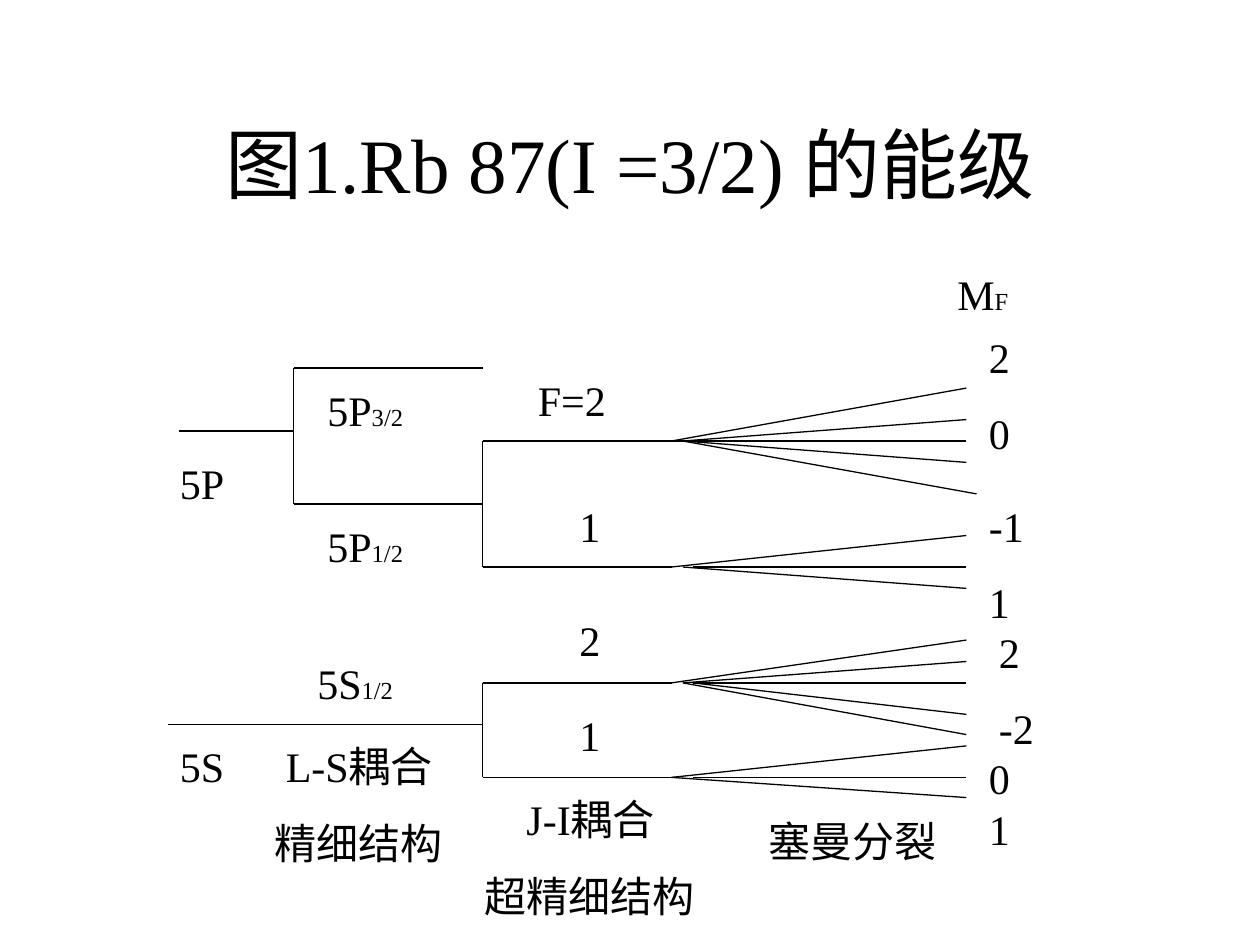
from dataclasses import dataclass

from lxml.etree import SubElement
from pptx import Presentation
from pptx.dml.color import RGBColor
from pptx.enum.shapes import MSO_CONNECTOR
from pptx.enum.text import MSO_ANCHOR, MSO_AUTO_SIZE, PP_ALIGN
from pptx.oxml.ns import qn
from pptx.util import Inches, Pt


@dataclass(frozen=True)
class Theme:
    font: str = "Times New Roman"
    ink: RGBColor = RGBColor(0, 0, 0)
    head: float = 44
    body: float = 24
    sub: float = 14
    rule: float = 0.75
    gap: float = 0.625  # space before, as a share of the type size


class Chart:
    """Draws the parts of a level diagram on one slide."""

    def __init__(self, theme, slide):
        self.theme = theme
        self.slide = slide

    def run(self, para, text, size):
        run = para.add_run()
        run.text = text
        run.font.size = Pt(size)
        run.font.name = self.theme.font
        run.font.color.rgb = self.theme.ink

    def title(self, text, left, top, width, height):
        shape = self.slide.shapes.title
        shape.left, shape.top = Inches(left), Inches(top)
        shape.width, shape.height = Inches(width), Inches(height)
        frame = shape.text_frame
        frame.auto_size = MSO_AUTO_SIZE.NONE
        frame.vertical_anchor = MSO_ANCHOR.MIDDLE
        para = frame.paragraphs[0]
        para.alignment = PP_ALIGN.CENTER
        self.run(para, text, self.theme.head)

    def line(self, x1, y1, x2, y2):
        line = self.slide.shapes.add_connector(
            MSO_CONNECTOR.STRAIGHT,
            Inches(x1), Inches(y1), Inches(x2), Inches(y2))
        line.line.color.rgb = self.theme.ink
        line.line.width = Pt(self.theme.rule)
        SubElement(line._element.spPr, qn("a:effectLst"))

    def split(self, x, end, *levels):
        """A vertical bar with one level running right from each end."""
        self.line(x, levels[0], x, levels[-1])
        for y in levels:
            self.line(x, y, end, y)

    def fan(self, y, rays):
        """Rays that spread from one level: start x, end x, end y."""
        for start, end, tip in rays:
            self.line(start, y, end, tip)

    def label(self, left, top, width, height, *rows):
        """Each row is (indent, text) or (indent, text, subscript)."""
        box = self.slide.shapes.add_textbox(
            Inches(left), Inches(top), Inches(width), Inches(height))
        frame = box.text_frame
        frame.word_wrap = True
        frame.auto_size = MSO_AUTO_SIZE.SHAPE_TO_FIT_TEXT
        for num, (indent, *parts) in enumerate(rows):
            para = frame.add_paragraph() if num else frame.paragraphs[0]
            sizes = (self.theme.body, self.theme.sub)[:len(parts)]
            para.space_before = Pt(sizes[-1] * self.theme.gap)
            if indent:
                para._p.get_or_add_pPr().set("marL", str(Inches(indent)))
            for text, size in zip(parts, sizes):
                self.run(para, text, size)


# Columns where the levels split and end
FINE, HYPER, ZEEMAN, EDGE = 2.33, 3.83, 5.33, 7.67
NEAR, FAR = 5.42, 5.5  # later starts of some rays

FANS = {
    3.5: [(ZEEMAN, EDGE, 3.5), (ZEEMAN, EDGE, 3.08), (NEAR, EDGE, 3.33),
          (NEAR, EDGE, 3.67), (NEAR, 7.75, 3.92)],
    4.5: [(ZEEMAN, EDGE, 4.25), (NEAR, EDGE, 4.67), (FAR, EDGE, 4.5)],
    5.42: [(ZEEMAN, EDGE, 5.08), (NEAR, EDGE, 5.83), (NEAR, EDGE, 5.25),
           (FAR, EDGE, 5.67), (FAR, EDGE, 5.42)],
    6.17: [(ZEEMAN, EDGE, 5.92), (ZEEMAN, EDGE, 6.33), (FAR, EDGE, 6.17)],
}

LABELS = [
    # Terms and fine structure
    (1.33, 3.58, 0.83, 0.5, (0, "5P")),
    (1.33, 5.83, 0.67, 0.5, (0, "5S")),
    (2.5, 3, 0.92, 0.5, (0, "5P", "3/2")),
    (2.5, 4.08, 0.83, 0.5, (0, "5P", "1/2")),
    (2.42, 5.17, 1, 0.5, (0, "5S", "1/2")),
    # Captions of the columns
    (2, 5.83, 1.67, 1.11, (0.17, "L-S耦合"), (0.08, "精细结构")),
    (3.75, 6.25, 2, 1.11, (0.33, "J-I耦合"), (0, "超精细结构")),
    (5.5, 6.42, 2.17, 0.5, (0.5, "塞曼分裂")),
    # F numbers
    (4.17, 2.92, 1, 0.5, (0, "F=2")),
    (4.33, 3.92, 0.75, 0.5, (0.17, "1")),
    (4.33, 4.83, 0.92, 0.5, (0.17, "2")),
    (4.42, 5.58, 0.83, 0.5, (0.08, "1")),
    # M numbers
    (7, 2.08, 1.17, 0.5, (0.5, "M", "F")),
    (7.75, 2.58, 0.83, 2.33, (0, "2"), (0, "0")),
    (7.75, 3.92, 0.5, 1.11, (0, "-1"), (0, "1")),
    (7.83, 4.92, 0.67, 1.11, (0, "2"), (0, "-2")),
    (7.75, 5.92, 0.58, 1.11, (0, "0")),
    (7.75, 6.33, 0.5, 0.5, (0, "1")),
]


def main():
    deck = Presentation()
    deck.slide_width, deck.slide_height = Inches(10), Inches(7.5)
    chart = Chart(Theme(), deck.slides.add_slide(deck.slide_layouts[5]))
    chart.title("图1.Rb 87(I =3/2) 的能级", 0.75, 0.67, 8.5, 1.25)

    # Base levels and their splits
    chart.line(1.42, 3.42, FINE, 3.42)
    chart.line(1.33, 5.75, HYPER, 5.75)
    chart.split(FINE, HYPER, 2.92, 4)
    chart.split(HYPER, ZEEMAN, 3.5, 4.5)
    chart.split(HYPER, ZEEMAN, 5.42, 6.17)

    # Zeeman fans
    for y, rays in FANS.items():
        chart.fan(y, rays)

    # Labels
    for item in LABELS:
        chart.label(*item)

    deck.save("out.pptx")


if __name__ == "__main__":
    main()
